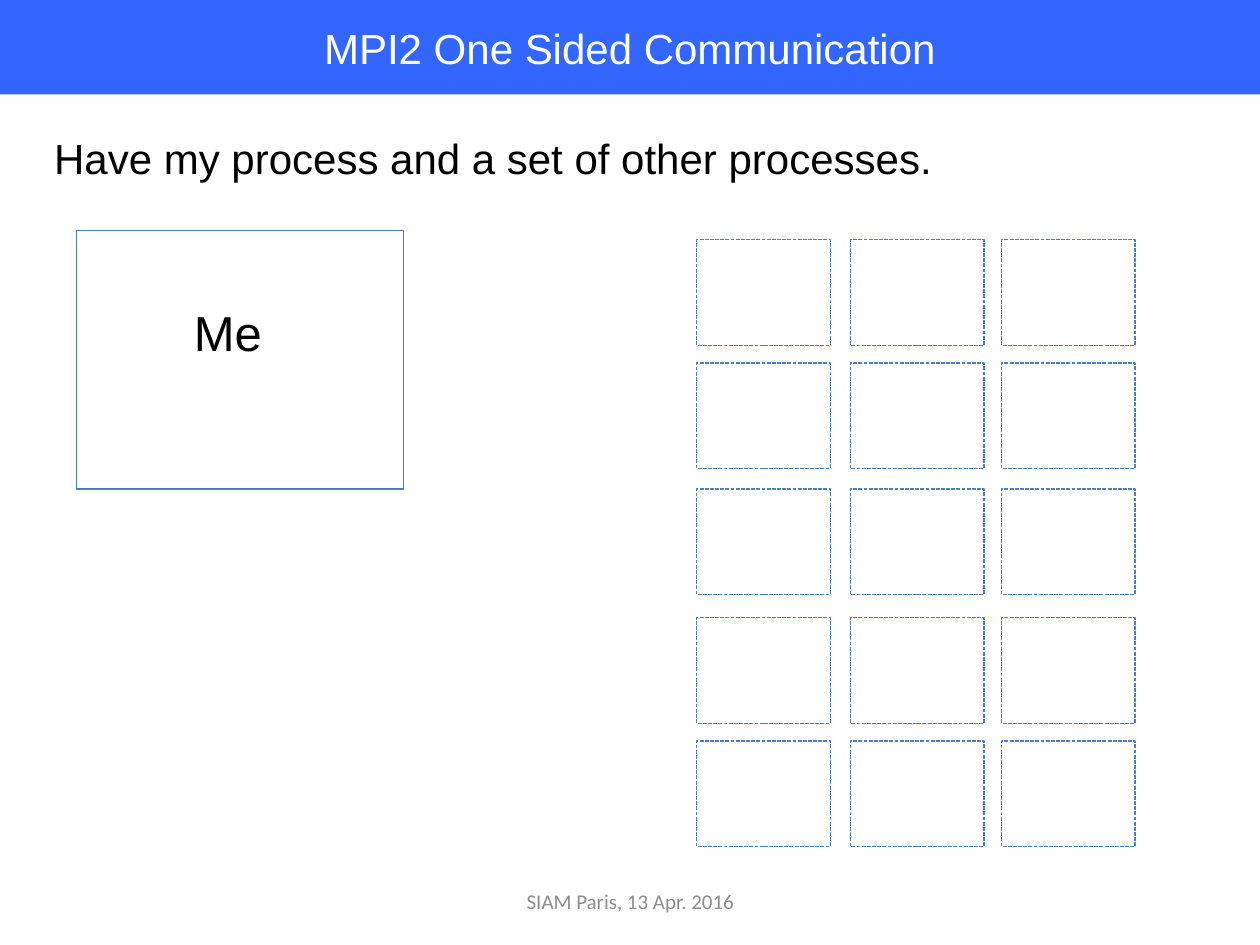
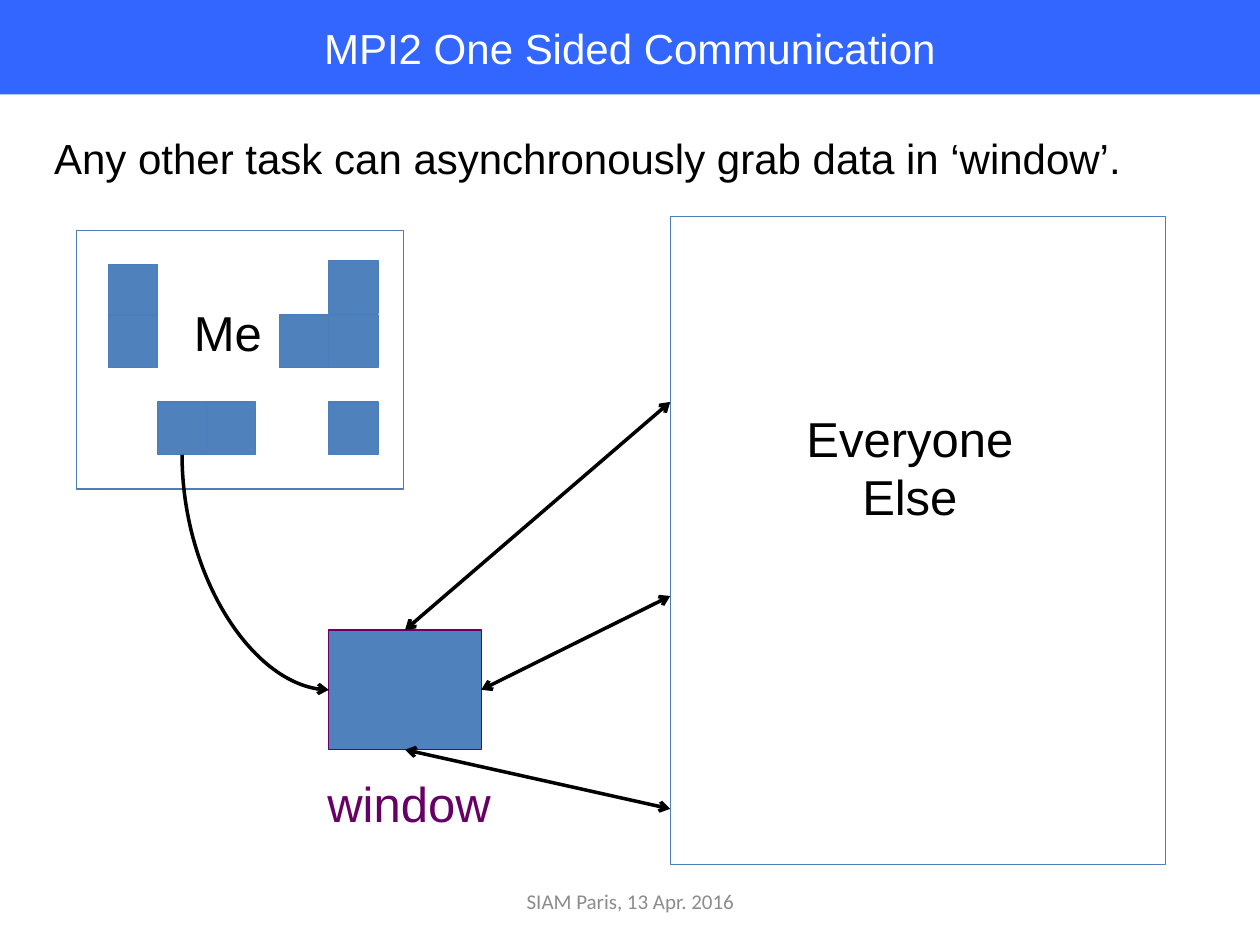
from itertools import product

from lxml import etree
from pptx import Presentation
from pptx import util as u
from pptx.dml import color
from pptx.enum import dml, shapes, text
from pptx.oxml import ns

# Content
TITLE = "MPI2 One Sided Communication"
FOOTER = "SIAM Paris, 13 Apr. 2016"
STATEMENTS = [
    "Have my process and a set of other processes.",
    "Any other task can asynchronously grab data in ‘window’.",
]
ME, EVERYONE, WINDOW = "Me", "Everyone Else", "window"


class Theme:
    size = (720, 540)
    band, box_line, data, accent = "3366FF", "4B7EBC", "4F81BD", "660066"
    black, white, grey = "000000", "FFFFFF", "8C8C8C"
    thin, thick = 0.75, 2
    heading = {"name": "Arial", "size": 24, "color": white}
    body = {"name": "Arial", "size": 24, "color": black}
    label = {"name": "Arial", "size": 28, "color": black}
    window_label = {"name": "Arial", "size": 28, "color": accent}
    footer = {"name": "Calibri", "size": 12, "color": grey}


# Places in points: left, top, width, height
TITLE_BAND = (0, 0, 720, 54)
STATEMENT_BOX = (23.8, 72, 666, 36)
FOOTER_BOX = (246.2, 500.4, 228.2, 28.8)
ME_BOX = (43.9, 131.8, 186.5, 147.6)
ME_LABEL = (103.7, 169.2, 69.8, 41)
EVERYONE_BOX = (383, 123.8, 283, 370.1)
EVERYONE_LABEL = (437.8, 229.7, 164.2, 74.9)
WINDOW_BOX = (187.9, 360, 87.1, 68.4)
WINDOW_LABEL = (180, 438.5, 111.6, 41)

# Grid of other processes
PROCESS_LEFTS = (398.2, 486, 572.4)
PROCESS_TOPS = (136.8, 207.4, 279.4, 352.8, 423.4)
PROCESS_SIZE = (76.3, 60.5)

# Data cells in my memory: left, top
CELL_SIZE = (28.1, 30.2)
SHARED_CELL = (90, 229.7)
CELLS = [
    (159.8, 180), (187.9, 180), (187.9, 149), (61.9, 151.2),
    (61.9, 180), (187.9, 229.7), SHARED_CELL, (118.1, 229.7),
]

# Side of the window and height at which its arrow meets everyone else
TOP, RIGHT, BOTTOM = 0, 3, 2
ACCESSES = [(TOP, 229.7), (RIGHT, 340.6), (BOTTOM, 462.2)]


def points(values):
    return [u.Pt(value) for value in values]


def rgb(value):
    return color.RGBColor.from_string(value)


def write(shape, words, style, align=text.PP_ALIGN.LEFT, anchor=text.MSO_ANCHOR.TOP):
    frame = shape.text_frame
    for name, value in {"word_wrap": True, "vertical_anchor": anchor}.items():
        setattr(frame, name, value)
    paragraph = frame.paragraphs[0]
    paragraph.alignment = align
    run = paragraph.add_run()
    run.text = words
    for name, value in {"name": style["name"], "size": u.Pt(style["size"])}.items():
        setattr(run.font, name, value)
    run.font.color.rgb = rgb(style["color"])


def add_text(slide, place, words, style, **layout):
    write(slide.shapes.add_textbox(*points(place)), words, style, **layout)


def add_box(slide, place, fill=None, line=Theme.box_line, dash=None):
    shape = slide.shapes.add_shape(shapes.MSO_SHAPE.RECTANGLE, *points(place))
    shape.shadow.inherit = False
    if fill:
        shape.fill.solid()
        shape.fill.fore_color.rgb = rgb(fill)
    else:
        shape.fill.background()
    if line:
        shape.line.color.rgb = rgb(line)
        for name, value in {"width": u.Pt(Theme.thin), "dash_style": dash}.items():
            setattr(shape.line, name, value)
    else:
        shape.line.fill.background()
    return shape


def add_arrow(slide, kind, start, end, ends):
    connector = slide.shapes.add_connector(kind, *points(start + end))
    connector.line.color.rgb = rgb(Theme.black)
    connector.line.width = u.Pt(Theme.thick)
    properties = connector._element.spPr
    line = properties.find(ns.qn("a:ln"))
    for tag in ends:
        etree.SubElement(line, ns.qn(tag), type="arrow")
    etree.SubElement(properties, ns.qn("a:effectLst"))
    return connector


def add_quarter_curve(slide, start, end):
    """Curve that leaves downwards and arrives from the left."""
    (x1, y1), (x2, y2) = start, end
    middle_x, middle_y = (x1 + x2) / 2, (y1 + y2) / 2
    half_width, half_height = (y2 - y1) / 2, (x2 - x1) / 2  # before the quarter turn
    connector = add_arrow(
        slide, shapes.MSO_CONNECTOR.CURVE,
        (middle_x - half_width, middle_y - half_height),
        (middle_x + half_width, middle_y + half_height), ["a:tailEnd"])
    properties = connector._element.spPr
    properties.find(ns.qn("a:prstGeom")).set("prst", "curvedConnector2")
    for name, value in {"rot": "16200000", "flipH": "1"}.items():
        properties.find(ns.qn("a:xfrm")).set(name, value)


def add_frame(presentation, statement):
    """Slide with the title band, statement and footer that all slides share."""
    slide = presentation.slides.add_slide(presentation.slide_layouts[6])
    centred = {"align": text.PP_ALIGN.CENTER, "anchor": text.MSO_ANCHOR.MIDDLE}
    write(add_box(slide, TITLE_BAND, Theme.band, None), TITLE, Theme.heading, **centred)
    add_text(slide, STATEMENT_BOX, statement, Theme.body)
    add_text(slide, FOOTER_BOX, FOOTER, Theme.footer, **centred)
    add_box(slide, ME_BOX)
    return slide


def build_processes(slide):
    add_text(slide, ME_LABEL, ME, Theme.label)
    for corner in product(PROCESS_LEFTS, PROCESS_TOPS):
        add_box(slide, corner + PROCESS_SIZE, dash=dml.MSO_LINE.SQUARE_DOT)


def build_window(slide):
    add_box(slide, EVERYONE_BOX)
    add_text(slide, EVERYONE_LABEL, EVERYONE, Theme.label, align=text.PP_ALIGN.CENTER)
    for corner in CELLS:
        add_box(slide, corner + CELL_SIZE, Theme.data)
    window = add_box(slide, WINDOW_BOX, Theme.data, Theme.accent)

    # My data goes into the window
    left, top, width, height = WINDOW_BOX
    cell_bottom = (SHARED_CELL[0] + CELL_SIZE[0] / 2, SHARED_CELL[1] + CELL_SIZE[1])
    add_quarter_curve(slide, cell_bottom, (left, top + height / 2))
    add_text(slide, ME_LABEL, ME, Theme.label)
    add_text(slide, WINDOW_LABEL, WINDOW, Theme.window_label)

    # Everyone else reaches the window
    for side, meeting_height in ACCESSES:
        arrow = add_arrow(slide, shapes.MSO_CONNECTOR.STRAIGHT, (left + width, top),
                          (EVERYONE_BOX[0], meeting_height), ["a:headEnd", "a:tailEnd"])
        arrow.begin_connect(window, side)


def main():
    presentation = Presentation()
    presentation.slide_width, presentation.slide_height = points(Theme.size)
    for statement, build in zip(STATEMENTS, (build_processes, build_window)):
        build(add_frame(presentation, statement))
    presentation.save("out.pptx")


if __name__ == "__main__":
    main()
